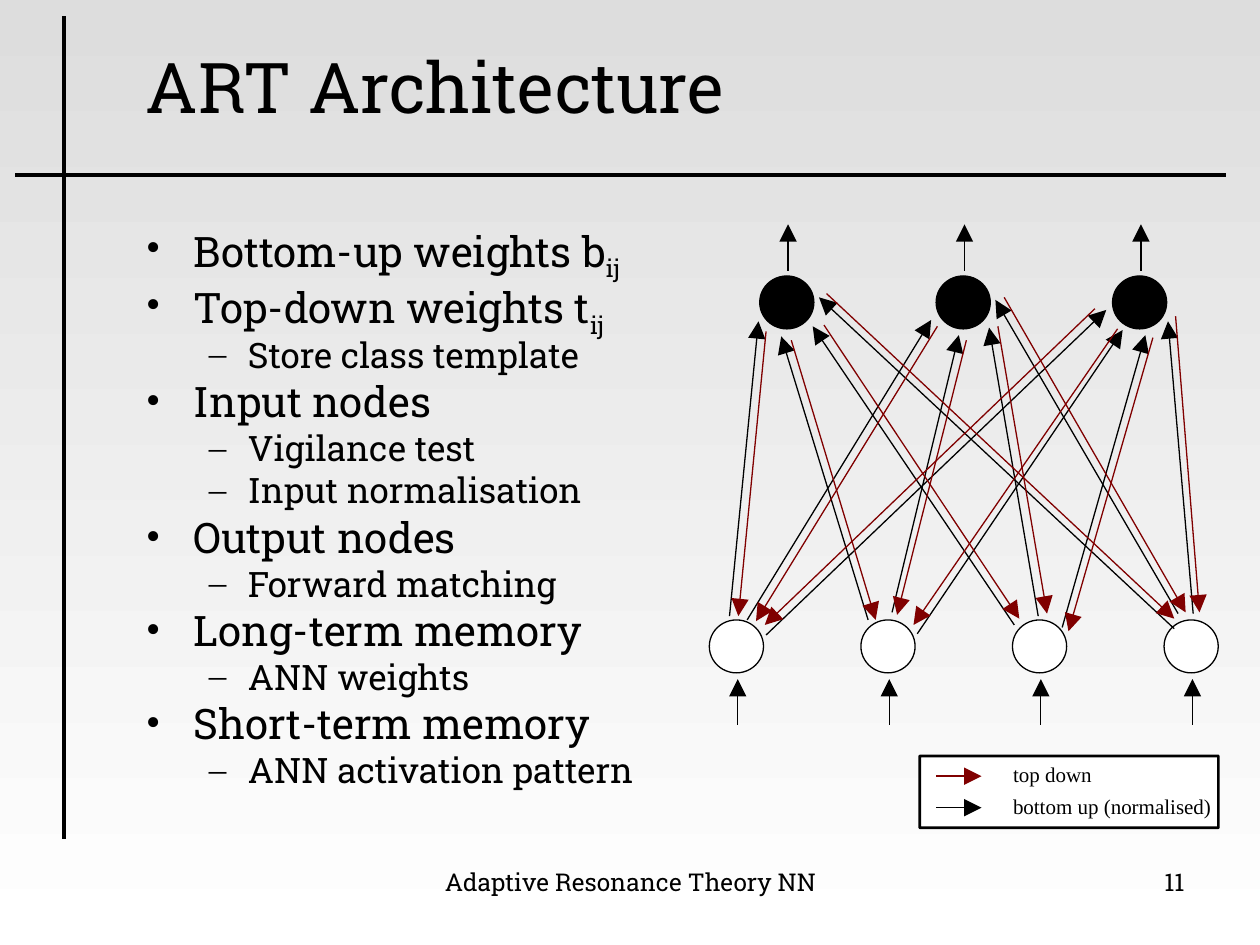
from lxml import etree
from pptx import Presentation
from pptx.dml.color import RGBColor
from pptx.enum.shapes import MSO_CONNECTOR, MSO_SHAPE
from pptx.enum.text import MSO_ANCHOR, PP_ALIGN
from pptx.oxml.ns import qn
from pptx.util import Inches, Pt

STRAIGHT = MSO_CONNECTOR.STRAIGHT
OVAL, ROUNDED = MSO_SHAPE.OVAL, MSO_SHAPE.ROUNDED_RECTANGLE
LEFT, CENTER, RIGHT = PP_ALIGN.LEFT, PP_ALIGN.CENTER, PP_ALIGN.RIGHT
TOP, MIDDLE = MSO_ANCHOR.TOP, MSO_ANCHOR.MIDDLE
SLAB, SERIF = "Roboto Slab", "Times New Roman"
BLACK, WHITE, RED = "000000", "FFFFFF", "800000"
color = RGBColor.from_string

prs = Presentation()
prs.slide_width, prs.slide_height = Inches(10), Inches(7.5)
s = prs.slides.add_slide(prs.slide_layouts[6])


def add_text(text, x, y, w, h, size=14, font=SLAB, align=LEFT, anchor=TOP,
             inset=(0.1, 0.05), spacing=None, wrap=True):
    tf = s.shapes.add_textbox(Inches(x), Inches(y), Inches(w), Inches(h)).text_frame
    tf.word_wrap, tf.vertical_anchor = wrap, anchor
    tf.margin_left = tf.margin_right = Inches(inset[0])
    tf.margin_top = tf.margin_bottom = Inches(inset[1])
    p = tf.paragraphs[0]
    p.alignment, p.line_spacing = align, spacing
    r = p.add_run()
    r.text = text
    r.font.size, r.font.name, r.font.color.rgb = Pt(size), font, color(BLACK)
    return tf


def add_line(x1, y1, x2, y2, line=BLACK, width=0.75, arrow=True):
    c = s.shapes.add_connector(STRAIGHT, Inches(x1), Inches(y1), Inches(x2), Inches(y2))
    c.line.color.rgb, c.line.width = color(line), Pt(width)
    if arrow:
        etree.SubElement(c.line._get_or_add_ln(), qn("a:tailEnd"),
                         type="triangle", w="lg", len="lg")
    etree.SubElement(c._element.spPr, qn("a:effectLst"))


# Background
fill = s.background.fill
fill.gradient()
fill.gradient_angle = 270
for stop, position, shade in zip(fill.gradient_stops, (0, 1), ("DDDDDD", WHITE)):
    stop.position, stop.color.rgb = position, color(shade)

# Crossed rules and title
add_line(0.12, 1.39, 9.73, 1.39, width=2.25, arrow=False)
add_line(0.51, 0.13, 0.51, 6.66, width=2.25, arrow=False)
add_text("ART Architecture", 1.06, 0.29, 8.66, 0.77, size=40, anchor=MIDDLE)

# Bullet list: level, text, subscript
bullets = [
    (0, "Bottom-up weights b", "ij"),
    (0, "Top-down weights t", "ij"),
    (1, "Store class template", ""),
    (0, "Input nodes", ""),
    (1, "Vigilance test", ""),
    (1, "Input normalisation", ""),
    (0, "Output nodes", ""),
    (1, "Forward matching", ""),
    (0, "Long-term memory", ""),
    (1, "ANN weights", ""),
    (0, "Short-term memory", ""),
    (1, "ANN activation pattern", ""),
]
levels = [(24, 6, "•", 0.38, -0.38), (20, 5, "–", 0.81, -0.31)]
tf = add_text(bullets[0][1], 1.06, 1.78, 4.8, 4.57, size=24)
for i, (level, text, subscript) in enumerate(bullets):
    size, before, mark, margin, indent = levels[level]
    p = tf.add_paragraph() if i else tf.paragraphs[0]
    p.level, p.line_spacing = level, 0.8
    p.space_before = Pt(before if i else 0)
    pPr = p._p.get_or_add_pPr()
    pPr.set("marL", str(Inches(margin)))
    pPr.set("indent", str(Inches(indent)))
    bullet_color = etree.SubElement(pPr, qn("a:buClr"))
    etree.SubElement(bullet_color, qn("a:srgbClr"), val=BLACK)
    etree.SubElement(pPr, qn("a:buFont"), typeface=SERIF)
    etree.SubElement(pPr, qn("a:buChar"), char=mark)
    for part in ([text] if i else []) + ([subscript] if subscript else []):
        r = p.add_run()
        r.text = part
        r.font.size, r.font.name, r.font.color.rgb = Pt(size), SLAB, color(BLACK)
        if part == subscript:
            r.font._element.set("baseline", "-25000")

# Legend
frame = s.shapes.add_shape(ROUNDED, Inches(7.3), Inches(6), Inches(2.37), Inches(0.57))
frame.adjustments[0] = 0.003
frame.shadow.inherit = False
frame.fill.solid()
frame.fill.fore_color.rgb = color(WHITE)
frame.line.color.rgb, frame.line.width = color(BLACK), Pt(1.5)
for label, y, w, shade in [("top down", 6.16, 0.72, RED),
                           ("bottom up (normalised)", 6.41, 1.63, BLACK)]:
    add_line(7.43, y, 7.79, y, shade)
    add_text(label, 8.04, y - 0.1, w, 0.19, size=12, font=SERIF,
             inset=(0, 0), spacing=0.95, wrap=True)

# Input and output nodes, each with its outer arrow
layers = [(4, 5.63, 1.203, 4.92, WHITE, 5.75, 5.39),
          (3, 6.03, 1.4, 2.19, BLACK, 2.15, 1.78)]
for count, left, pitch, top, shade, start, end in layers:
    for i in range(count):
        x = left + i * pitch
        node = s.shapes.add_shape(OVAL, Inches(x), Inches(top), Inches(0.43), Inches(0.42))
        node.shadow.inherit = False
        node.fill.solid()
        node.fill.fore_color.rgb = color(shade)
        node.line.color.rgb, node.line.width = color(BLACK), Pt(0.75)
        add_line(x + 0.225, start, x + 0.225, end)

# Weights, one row per input node, one entry per output node
bottom_up = [
    [(5.79, 4.89, 6.02, 2.55), (5.93, 4.92, 7.39, 2.54), (6.08, 5.04, 8.78, 2.46)],
    [(6.89, 4.92, 6.2, 2.67), (7.08, 4.86, 7.61, 2.66), (7.28, 5.03, 8.91, 2.62)],
    [(8.05, 4.96, 6.45, 2.59), (8.24, 4.89, 7.85, 2.6), (8.43, 4.98, 9.09, 2.66)],
    [(9.32, 4.99, 6.5, 2.36), (9.35, 4.87, 7.9, 2.38), (9.47, 4.87, 9.27, 2.55)],
]
top_down = [
    [(6.08, 2.63, 5.86, 4.89), (7.44, 2.59, 6, 4.93), (8.69, 2.45, 6.07, 4.96)],
    [(6.28, 2.7, 6.95, 4.92), (7.67, 2.7, 7.12, 4.88), (8.87, 2.61, 7.25, 4.96)],
    [(6.54, 2.58, 8.09, 4.91), (7.92, 2.59, 8.31, 4.87), (9.15, 2.68, 8.48, 5.01)],
    [(6.56, 2.33, 9.32, 4.91), (7.97, 2.36, 9.41, 4.86), (9.33, 2.51, 9.52, 4.86)],
]
for weights, shade in [(bottom_up, BLACK), (top_down, RED)]:
    for row in weights:
        for ends in row:
            add_line(*ends, shade)

# Footer
add_text("Adaptive Resonance Theory NN", 3.42, 6.83, 3.17, 0.52, align=CENTER)
add_text("11", 7.17, 6.83, 2.33, 0.52, align=RIGHT)

prs.save("out.pptx")
